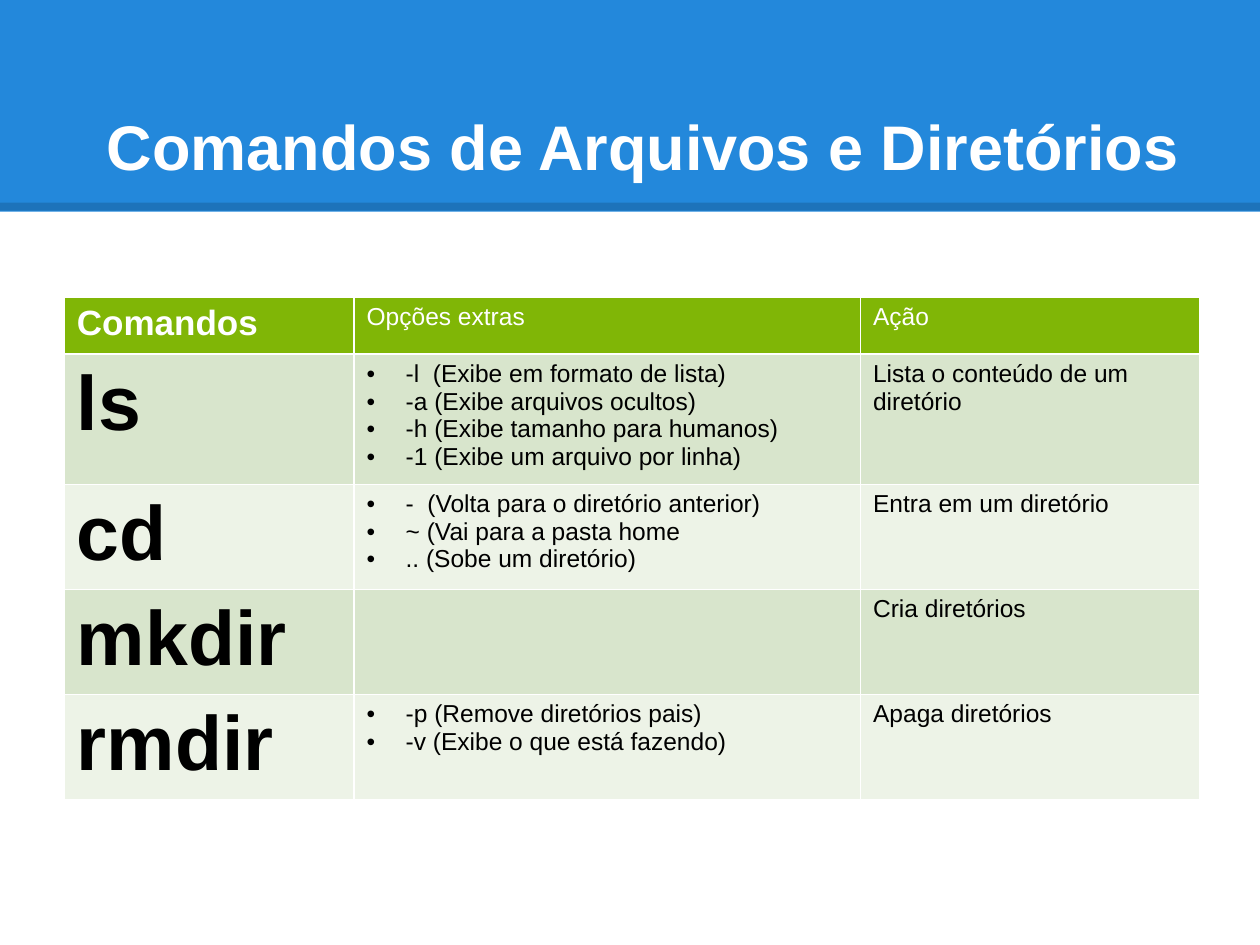
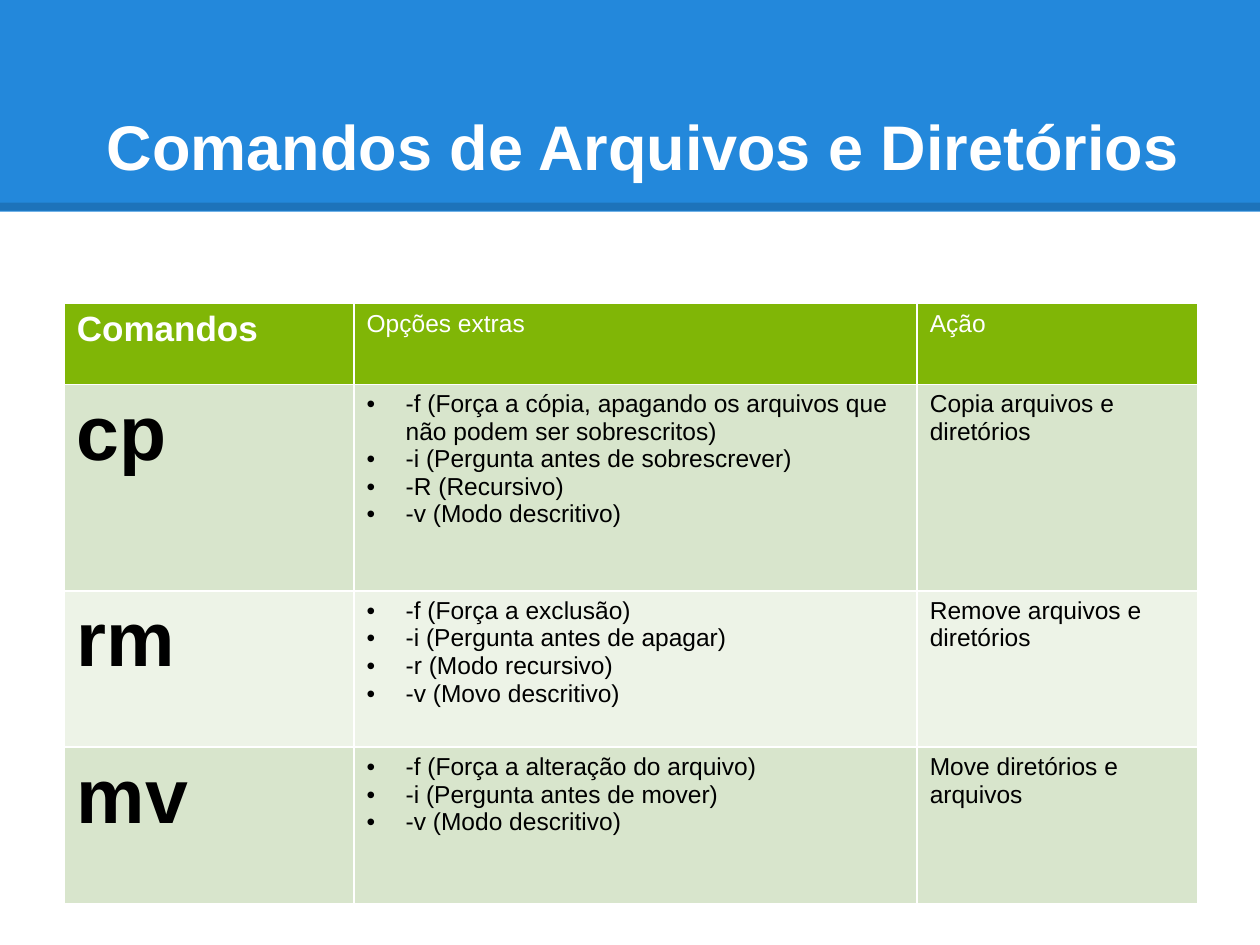
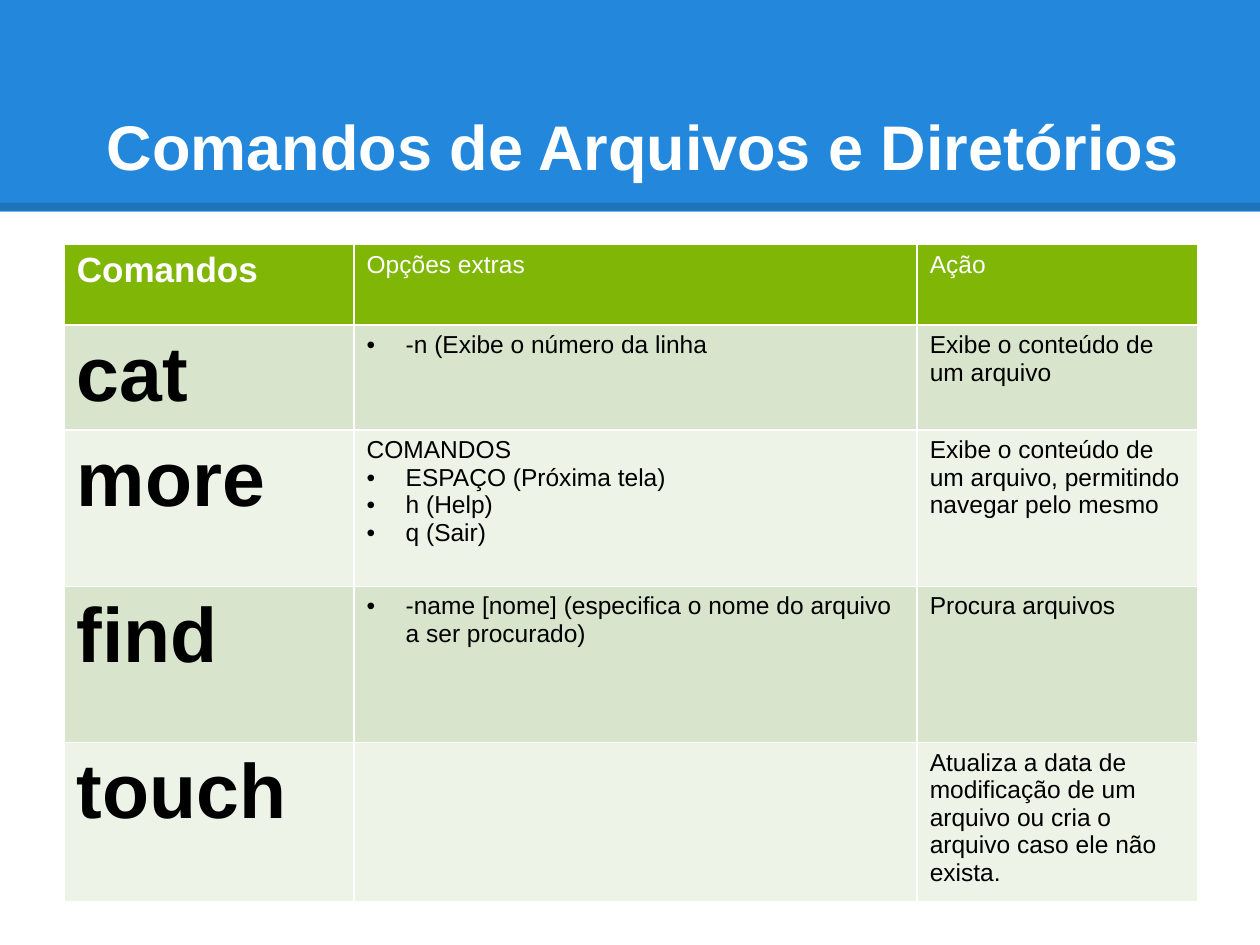
"""Builds three slides with tables of file and directory commands."""
from lxml import etree
from pptx import Presentation
from pptx import util as u
from pptx.dml.color import RGBColor
from pptx.enum import shapes, text
from pptx.oxml.ns import qn

COLORS = {
    "band": "2388DB",
    "shade": "000000",
    "white": "FFFFFF",
    "header": "80B606",
    "odd": "D8E5CC",
    "even": "EDF3E7",
    "ink": "000000",
}
FONT = "Arial"
TITLE = "Comandos de Arquivos e Diretórios"
HEADERS = ["Comandos", "Opções extras", "Ação"]
SUBHEADS = {"COMANDOS"}
TABLE_LEFT = 0.51

SLIDES = [
    {
        "top": 2.36,
        "cols": [2.3, 4.02, 2.69],
        "heights": [0.45, 0.97, 0.78, 0.78, 0.78],
        "rows": [
            ("ls",
             ["-l  (Exibe em formato de lista)", "-a (Exibe arquivos ocultos)",
              "-h (Exibe tamanho para humanos)", "-1 (Exibe um arquivo por linha)"],
             "Lista o conteúdo de um diretório"),
            ("cd",
             ["-  (Volta para o diretório anterior)", "~ (Vai para a pasta home",
              ".. (Sobe um diretório)"],
             "Entra em um diretório"),
            ("mkdir", [], "Cria diretórios"),
            ("rmdir",
             ["-p (Remove diretórios pais)", "-v (Exibe o que está fazendo)"],
             "Apaga diretórios"),
        ],
    },
    {
        "top": 2.41,
        "cols": [2.3, 4.47, 2.23],
        "heights": [0.64, 1.64, 1.24, 1.24],
        "rows": [
            ("cp",
             ["-f (Força a cópia, apagando os arquivos que não podem ser sobrescritos)",
              "-i (Pergunta antes de sobrescrever)", "-R (Recursivo)",
              "-v (Modo descritivo)"],
             "Copia arquivos e diretórios"),
            ("rm",
             ["-f (Força a exclusão)", "-i (Pergunta antes de apagar)",
              "-r (Modo recursivo)", "-v (Movo descritivo)"],
             "Remove arquivos e diretórios"),
            ("mv",
             ["-f (Força a alteração do arquivo)", "-i (Pergunta antes de mover)",
              "-v (Modo descritivo)"],
             "Move diretórios e arquivos"),
        ],
    },
    {
        "top": 1.94,
        "cols": [2.3, 4.47, 2.23],
        "heights": [0.64, 0.78, 1.24, 1.24, 1.24],
        "rows": [
            ("cat", ["-n (Exibe o número da linha"], "Exibe o conteúdo de um arquivo"),
            ("more",
             ["COMANDOS", "ESPAÇO (Próxima tela)", "h (Help)", "q (Sair)"],
             "Exibe o conteúdo de um arquivo, permitindo navegar pelo mesmo"),
            ("find",
             ["-name [nome] (especifica o nome do arquivo a ser procurado)"],
             "Procura arquivos"),
            ("touch", [],
             "Atualiza a data de modificação de um arquivo ou cria o arquivo "
             "caso ele não exista."),
        ],
    },
]


def rgb(name):
    return RGBColor.from_string(COLORS[name])


def style_runs(p, size, color, bold=False):
    for r in p.runs:
        r.font.name = FONT
        r.font.size = u.Pt(size)
        r.font.bold = bold
        r.font.color.rgb = rgb(color)


def add_bullet(p, indent=0.31):
    pPr = p._p.get_or_add_pPr()
    pPr.set("marL", str(u.Inches(indent)))
    pPr.set("indent", str(-u.Inches(indent)))
    etree.SubElement(pPr, qn("a:buFont")).set("typeface", FONT)
    etree.SubElement(pPr, qn("a:buChar")).set("char", "•")


def add_band(s, x, y, w, h):
    sp = s.shapes.add_shape(shapes.MSO_SHAPE.RECTANGLE, *map(u.Inches, (x, y, w, h)))
    sp.shadow.inherit = False
    sp.fill.solid()
    sp.fill.fore_color.rgb = rgb("band")
    sp.line.fill.background()

    edge_y = u.Inches(y + h - 0.04)
    edge = s.shapes.add_connector(shapes.MSO_CONNECTOR.STRAIGHT,
                                  u.Inches(x), edge_y, u.Inches(x + w), edge_y)
    edge.line.width = u.Pt(4.5)
    edge.line.color.rgb = rgb("shade")
    spPr = edge._element.spPr
    clr = spPr.find(".//" + qn("a:srgbClr"))
    etree.SubElement(clr, qn("a:alpha")).set("val", "15000")
    etree.SubElement(spPr, qn("a:effectLst"))


def add_title(s, x, y, w, h):
    tf = s.shapes.add_textbox(*map(u.Inches, (x, y, w, h))).text_frame
    tf.word_wrap = True
    tf.vertical_anchor = text.MSO_ANCHOR.BOTTOM
    tf.margin_left = tf.margin_right = u.Inches(0.1)
    tf.margin_top = tf.margin_bottom = u.Inches(0.1)
    p = tf.paragraphs[0]
    p.text = TITLE
    p._p.get_or_add_pPr().set("indent", str(u.Inches(0.25)))
    style_runs(p, 36, "white", True)


def format_cell(cell, fill):
    tcPr = cell._tc.get_or_add_tcPr()
    for side in ("lnL", "lnR", "lnT", "lnB"):
        ln = etree.SubElement(tcPr, qn("a:" + side), w=str(u.Pt(1)))
        solid = etree.SubElement(ln, qn("a:solidFill"))
        etree.SubElement(solid, qn("a:srgbClr")).set("val", COLORS["white"])
    cell.fill.solid()
    cell.fill.fore_color.rgb = rgb(fill)


def fill_options(cell, options):
    tf = cell.text_frame
    tf.text = "\n".join(options)
    for p in tf.paragraphs:
        if p.text and p.text not in SUBHEADS:
            add_bullet(p)
        style_runs(p, 14, "ink")


def fill_text(cell, value, size, color, bold=False):
    cell.text_frame.text = value
    style_runs(cell.text_frame.paragraphs[0], size, color, bold)


def add_command_table(s, x, y, cols, heights, rows):
    frame = s.shapes.add_table(len(heights), len(cols), u.Inches(x), u.Inches(y),
                               u.Inches(sum(cols)), u.Inches(sum(heights)))
    table = frame.table
    table.first_row = table.horz_banding = False
    for col, width in zip(table.columns, cols):
        col.width = u.Inches(width)
    for i, (row, height) in enumerate(zip(table.rows, heights)):
        row.height = u.Inches(height)
        fill = "header" if i == 0 else ("odd" if i % 2 else "even")
        for cell in row.cells:
            format_cell(cell, fill)

    for j, label in enumerate(HEADERS):
        fill_text(table.cell(0, j), label, 14 if j else 20, "white", j == 0)
    for i, (command, options, action) in enumerate(rows, 1):
        fill_text(table.cell(i, 0), command, 44, "ink", True)
        fill_options(table.cell(i, 1), options)
        fill_text(table.cell(i, 2), action, 14, "ink")


def main():
    prs = Presentation()
    prs.slide_width, prs.slide_height = u.Inches(10), u.Inches(7.5)
    for page in SLIDES:
        s = prs.slides.add_slide(prs.slide_layouts[6])
        add_band(s, 0, 0, 10, 1.68)
        add_title(s, 0.5, 0.3, 9, 1.25)
        add_command_table(s, TABLE_LEFT, page["top"], page["cols"],
                          page["heights"], page["rows"])
    prs.save("out.pptx")


if __name__ == "__main__":
    main()
